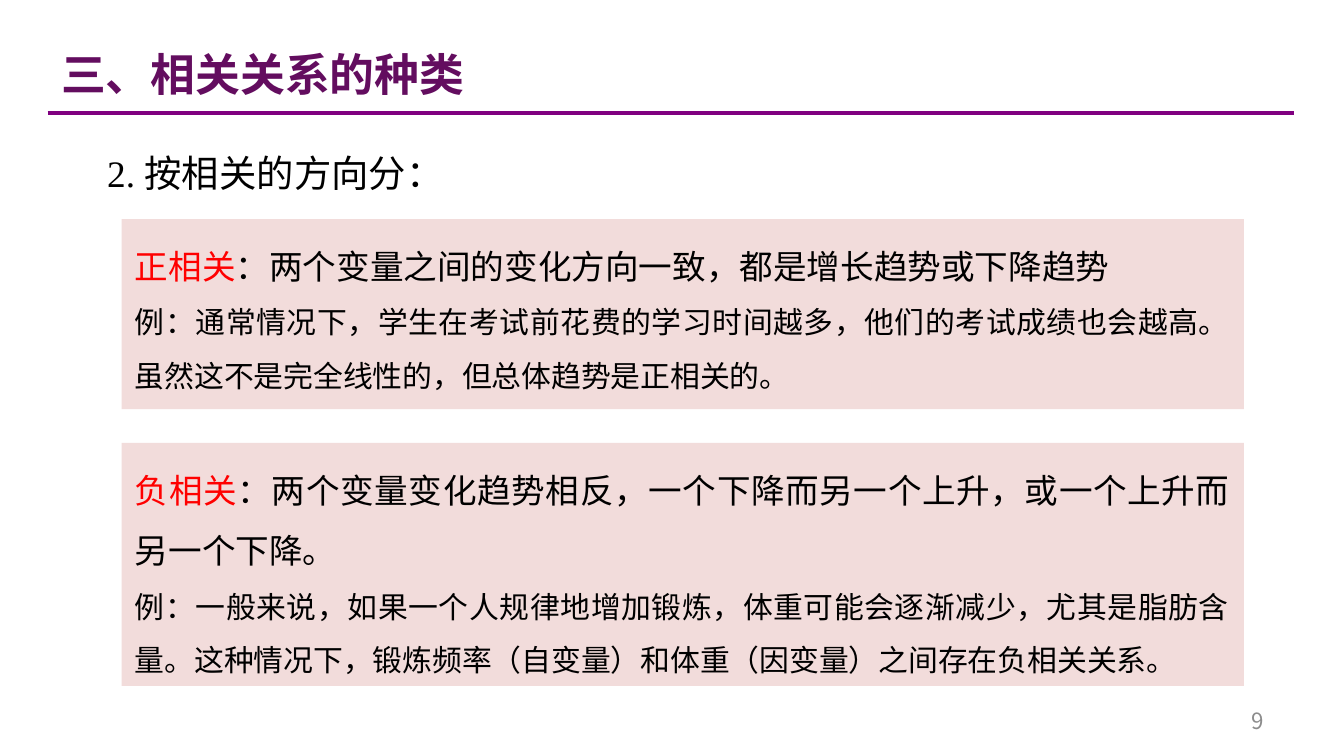
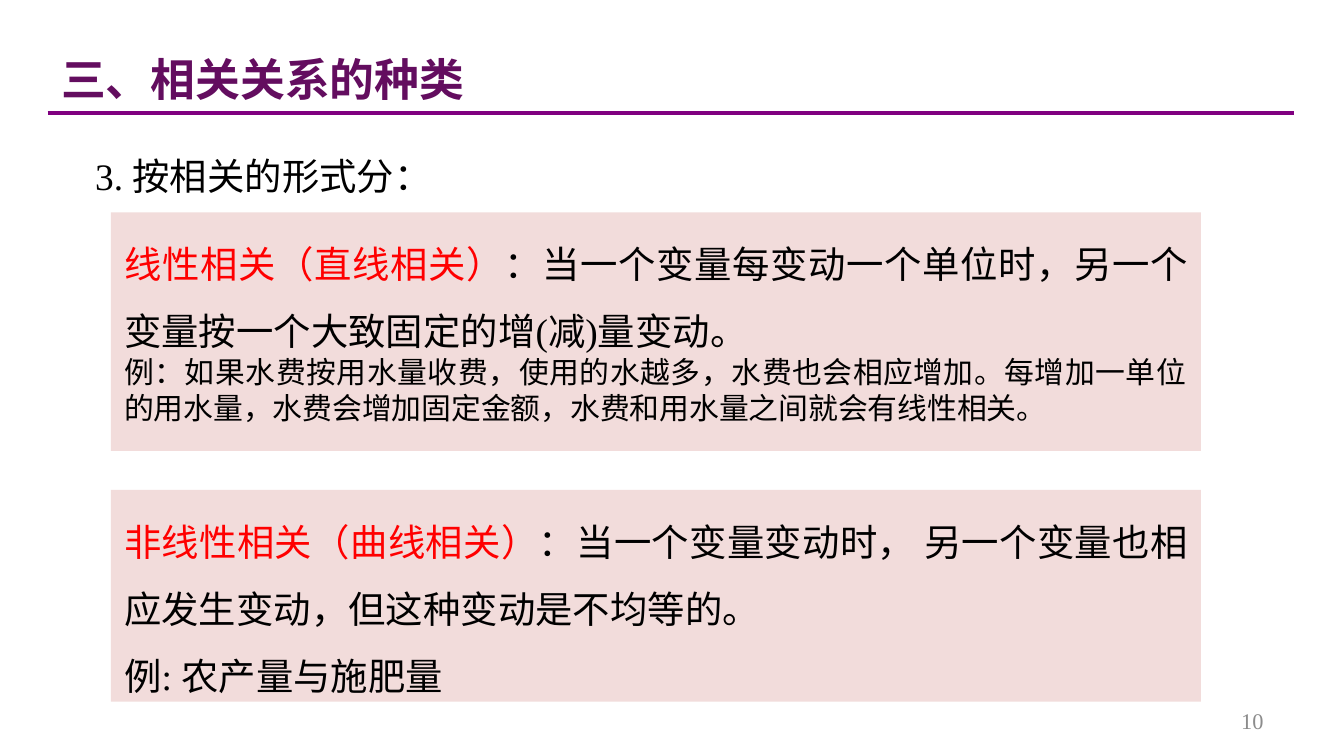
from dataclasses import dataclass

from lxml.etree import SubElement as Sub
from pptx import Presentation
from pptx.dml.color import RGBColor as RGB
from pptx.enum.shapes import MSO_CONNECTOR as Link, MSO_SHAPE as Shape
from pptx.enum.text import MSO_ANCHOR as Anchor, MSO_AUTO_SIZE as Fit, PP_ALIGN as Align
from pptx.oxml.ns import qn
from pptx.util import Pt

SCALE = 4572


@dataclass(frozen=True)
class Theme:
    sans: str = "Noto Sans CJK SC"
    serif: str = "Times New Roman"
    plain: str = "Calibri"
    title: RGB = RGB.from_string("630D5F")
    rule: RGB = RGB.from_string("800080")
    panel: RGB = RGB.from_string("F2DCDB")
    term: RGB = RGB.from_string("FF0000")
    ink: RGB = RGB.from_string("000000")
    gray: RGB = RGB.from_string("8C8C8C")
    head: int = 24
    lead: int = 20
    body: int = 18
    note: int = 16
    foot: int = 12


T = Theme()


def px(*sizes):
    return [size * SCALE for size in sizes]


def style(run, size, color, face, bold=False):
    font = run.font
    font.size, font.name, font.bold = Pt(size), face, bold
    font.color.rgb = color
    Sub(run.font._element, qn("a:ea")).set("typeface", T.sans)


def setup(frame, anchor):
    frame.word_wrap = True
    frame.auto_size = Fit.NONE
    frame.vertical_anchor = anchor


def label(slide, box, text, size, color, face, align=Align.LEFT, anchor=Anchor.TOP, space=1.5):
    frame = slide.shapes.add_textbox(*px(*box)).text_frame
    setup(frame, anchor)
    para = frame.paragraphs[0]
    para.text = text
    para.alignment, para.line_spacing = align, space
    style(para.runs[0], size, color, face)


def header(slide, box):
    title = slide.shapes.title
    title.left, title.top, title.width, title.height = px(*box)
    setup(title.text_frame, Anchor.MIDDLE)
    title.text_frame.text = "三、相关关系的种类"
    para = title.text_frame.paragraphs[0]
    para.alignment, para.line_spacing = Align.LEFT, 1.5
    style(para.runs[0], T.head, T.title, T.sans, True)


def rule(slide):
    line = slide.shapes.add_connector(Link.STRAIGHT, *px(71, 168, 1926, 168))
    line.line.color.rgb = T.rule
    line.line.width = Pt(2.25)
    Sub(line._element.spPr, qn("a:effectLst"))


def panel(slide, box, paras):
    card = slide.shapes.add_shape(Shape.RECTANGLE, *px(*box))
    card.shadow.inherit = False
    card.fill.solid()
    card.fill.fore_color.rgb = T.panel
    card.line.fill.background()
    frame = card.text_frame
    setup(frame, Anchor.TOP)
    for i, (space, runs) in enumerate(paras):
        para = frame.add_paragraph() if i else frame.paragraphs[0]
        para.alignment, para.line_spacing = Align.JUSTIFY, space
        for text, *look in runs:
            run = para.add_run()
            run.text = text
            style(run, *look)


def define(term, text, size, face):
    return 1.5, [(term, size, T.term, face), (text, size, T.ink, face)]


def sample(text, size, face, space=1.5):
    return space, [(text, size, T.ink, face)]


def page(deck, num, face, title, lead, panels):
    slide = deck.slides.add_slide(deck.slide_layouts[5])
    rule(slide)
    label(slide, (1433, 1043, 467, 60), num, T.foot, T.gray, face,
          Align.RIGHT, Anchor.MIDDLE, 1.0)
    box, text, align = lead
    label(slide, box, text, T.lead, T.ink, T.serif, align)
    for box, paras in panels:
        panel(slide, box, paras)
    header(slide, title)


def main():
    deck = Presentation()
    deck.slide_width, deck.slide_height = px(2000, 1125)
    page(deck, "9", T.sans, (71, -36, 1700, 250),
         ((119, 180, 582, 114), "2. 按相关的方向分：", Align.CENTER), [
        ((181, 326, 1670, 283), [
            define("正相关", "：两个变量之间的变化方向一致，都是增长趋势或下降趋势", T.body, T.sans),
            sample("例：通常情况下，学生在考试前花费的学习时间越多，他们的考试成绩也会越高。"
                   "虽然这不是完全线性的，但总体趋势是正相关的。", T.note, T.sans)]),
        ((181, 659, 1670, 362), [
            define("负相关", "：两个变量变化趋势相反，一个下降而另一个上升，"
                   "或一个上升而另一个下降。", T.body, T.serif),
            sample("例：一般来说，如果一个人规律地增加锻炼，体重可能会逐渐减少，尤其是脂肪含量。"
                   "这种情况下，锻炼频率（自变量）和体重（因变量）之间存在负相关关系。",
                   T.note, T.plain)]),
    ])
    page(deck, "10", T.serif, (71, 58, 662, 78),
         ((122, 185, 502, 108), "3. 按相关的形式分：", Align.LEFT), [
        ((165, 316, 1622, 355), [
            define("线性相关（直线相关）", "：当一个变量每变动一个单位时，"
                   "另一个变量按一个大致固定的增(减)量变动。", T.lead, T.serif),
            sample("例：如果水费按用水量收费，使用的水越多，水费也会相应增加。"
                   "每增加一单位的用水量，水费会增加固定金额，水费和用水量之间就会有线性相关。",
                   T.note, T.plain, 1.0)]),
        ((165, 729, 1622, 315), [
            define("非线性相关（曲线相关）", "：当一个变量变动时， 另一个变量也相应发生变动，"
                   "但这种变动是不均等的。", T.lead, T.serif),
            sample("例: 农产量与施肥量", T.lead, T.serif)]),
    ])
    deck.save("out.pptx")


if __name__ == "__main__":
    main()
